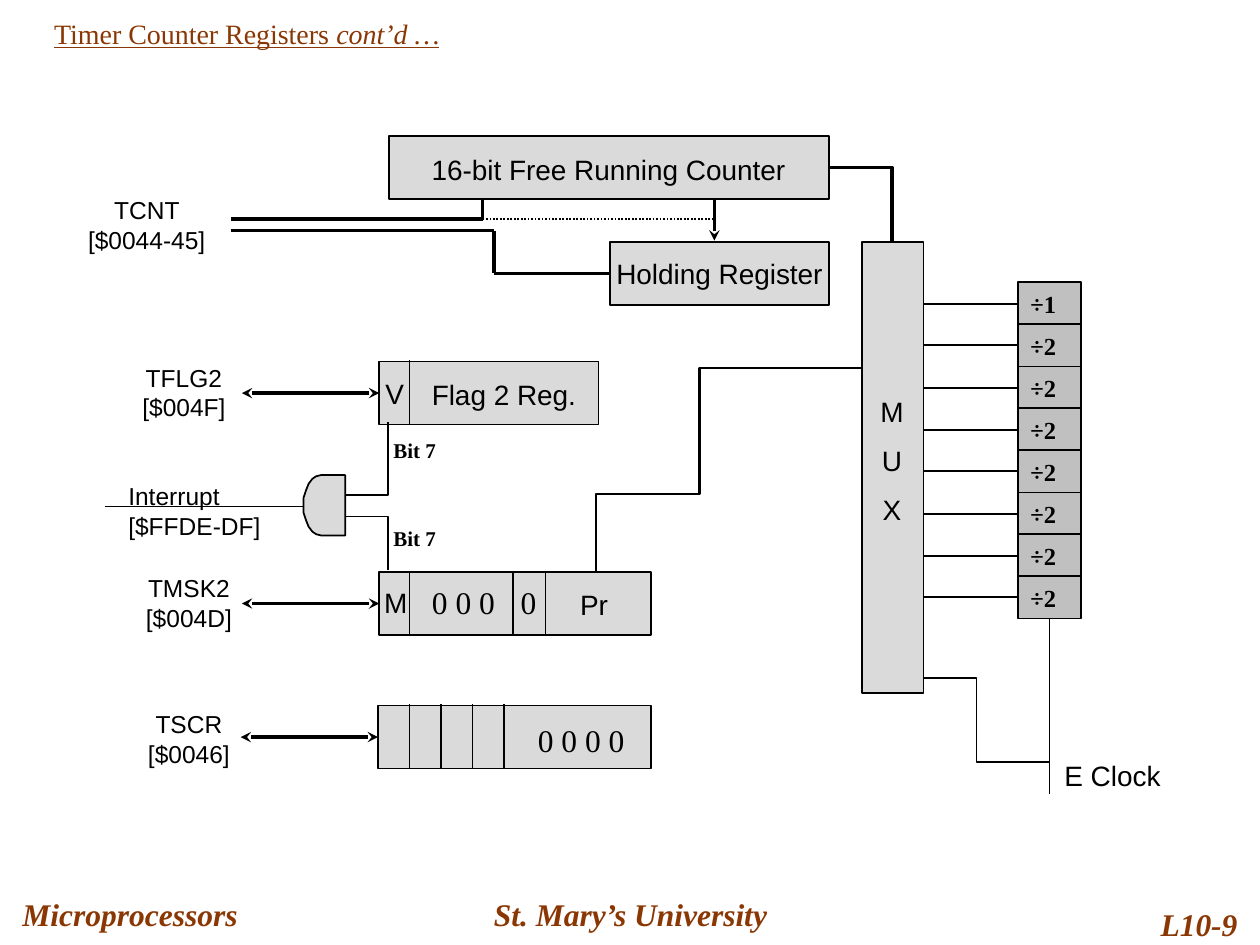
import math

import pptx
import pptx.dml.color
import pptx.enum.dml
import pptx.enum.shapes
import pptx.enum.text
import pptx.oxml.ns
import pptx.util
from lxml import etree

PX = 9144  # 100 px to the inch
BLACK, BROWN, LIGHT, GREY = "000000", "8A3704", "DADADA", "C0C0C0"
SERIF, SANS = "Times New Roman", "Arial"
ALIGN = pptx.enum.text.PP_ALIGN
ANCHOR = pptx.enum.text.MSO_ANCHOR


def px(*lengths):
    return [pptx.util.Emu(n * PX) for n in lengths]


def rgb(code):
    return pptx.dml.color.RGBColor.from_string(code)


def style_font(font, size, name, color=BLACK, bold=False, italic=False):
    font.size, font.name = pptx.util.Pt(size), name
    font.bold, font.italic = bold, italic
    font.color.rgb = rgb(color)


def write(sp, lines, size, name=SANS, align=ALIGN.CENTER, anchor=ANCHOR.TOP, wrap=True, **look):
    tf = sp.text_frame
    tf.word_wrap, tf.vertical_anchor = wrap, anchor
    tf.text = lines
    for i, p in enumerate(tf.paragraphs):
        p.alignment = align
        p.space_before = pptx.util.Pt(9 if i else 0)
        style_font(p.font, size, name, **look)


def label(slide, x, y, w, h, lines, size=16, name=SANS, **look):
    write(slide.shapes.add_textbox(*px(x, y, w, h)), lines, size, name, **look)


def paint(sp, fill=None, width=1.0):
    sp.shadow.inherit = False
    if fill:
        sp.fill.solid()
        sp.fill.fore_color.rgb = rgb(fill)
    else:
        sp.fill.background()
    sp.line.color.rgb = rgb(BLACK)
    sp.line.width = pptx.util.Pt(width)


def block(slide, x, y, w, h, fill=LIGHT):
    sp = slide.shapes.add_shape(pptx.enum.shapes.MSO_SHAPE.RECTANGLE, *px(x, y, w, h))
    paint(sp, fill)
    return sp


def line(slide, x1, y1, x2, y2, width=1.0, start=None, arrows=(), dotted=False):
    """Straight wire; start is the (shape, side) it leaves, arrows name the line ends."""
    c = slide.shapes.add_connector(pptx.enum.shapes.MSO_CONNECTOR.STRAIGHT, *px(x1, y1, x2, y2))
    if start:
        c.begin_connect(*start)
    c.line.color.rgb = rgb(BLACK)
    c.line.width = pptx.util.Pt(width)
    if dotted:
        c.line.dash_style = pptx.enum.dml.MSO_LINE.ROUND_DOT
    for end in arrows:
        etree.SubElement(c.line._get_or_add_ln(), pptx.oxml.ns.qn(f"a:{end}"), type="stealth")
    etree.SubElement(c._element.spPr, pptx.oxml.ns.qn("a:effectLst"))


def outline(slide, points, fill=None, width=1.0):
    """Bent wire, or a closed figure when a fill is given."""
    fb = slide.shapes.build_freeform(*points[0], scale=PX)
    fb.add_line_segments(points[1:], close=fill is not None)
    paint(fb.convert_to_shape(), fill, width)


def title(slide, x, y, w, h):
    sp = slide.shapes.title
    sp.left, sp.top, sp.width, sp.height = px(x, y, w, h)
    tf = sp.text_frame
    tf.word_wrap, tf.vertical_anchor = True, ANCHOR.TOP
    tf.auto_size = pptx.enum.text.MSO_AUTO_SIZE.NONE
    p = tf.paragraphs[0]
    p.alignment = ALIGN.LEFT
    for text, italic in (("Timer Counter Registers ", False), ("cont’d …", True)):
        r = p.add_run()
        r.text = text
        style_font(r.font, 16, SERIF, BROWN, italic=italic)
        r.font.underline = True


def footer(slide, x, y):
    parts = ((0, 0, 242, "Microprocessors", ALIGN.LEFT),
             (334, 0, 317, "St. Mary’s University", ALIGN.CENTER),
             (859, 8, 125, "L10-9", ALIGN.RIGHT))
    for dx, dy, w, text, align in parts:
        label(slide, x + dx, y + dy, w, 50, text, 18, SERIF, align=align,
              anchor=ANCHOR.MIDDLE, color=BROWN, bold=True, italic=True)


def counter(slide, x, y):
    """Free running counter, its holding register and the TCNT bus."""
    block(slide, x, y, 349, 50)
    label(slide, x - 1, y + 8, 350, 37, "16-bit Free Running Counter")
    holding = block(slide, x + 175, y + 84, 174, 50)
    label(slide, x + 166, y + 91, 192, 37, "Holding Register")
    label(slide, x - 251, y + 42, 117, 57, "TCNT [$0044-45]", 14)
    bus, tap, bend = x - 126, x + 74, x + 83
    line(slide, tap, y + 50, tap, y + 66, 2)
    line(slide, tap, y + 66, bus, y + 66, 2)
    line(slide, tap, y + 66, x + 258, y + 66, dotted=True)
    line(slide, x + 258, y + 50, x + 258, y + 83, 2, arrows=["tailEnd"])
    line(slide, x + 175, y + 109, bend, y + 109, 2, start=(holding, 1))
    line(slide, bend, y + 109, bend, y + 75, 2.25)
    line(slide, bend, y + 75, bus, y + 75, 2)
    outline(slide, [(x + 349, y + 25), (x + 399, y + 25), (x + 399, y + 84)], width=2)


def register(slide, x, y, w, name, name_box, cuts, fields):
    """Register with bit dividers at cuts, field texts, and a two-way arrow to its name."""
    sp = block(slide, x, y, w, 50)
    line(slide, x, y + 25, x - 109, y + 25, 2, start=(sp, 1), arrows=["headEnd", "tailEnd"])
    dx, dy, name_w = name_box
    label(slide, x + dx, y + dy, name_w, 57, name, 14)
    for cut in cuts:
        line(slide, x + cut, y - 1, x + cut, y + 50)
    for dx, dy, field_w, text, size, font, align in fields:
        label(slide, x + dx, y + dy, field_w, 38, text, size, font, align=align)


def interrupt_gate(slide, x, y):
    """AND gate fed by bit 7 of the registers above and below."""
    cx, cy, rx, ry = x + 14, y + 24, 14, 24
    arc = [(cx - rx * math.sin(math.pi * i / 12), cy + ry * math.cos(math.pi * i / 12))
           for i in range(13)]
    outline(slide, [(x + 33, y), (x + 33, y + 48)] + arc, LIGHT)
    for far, near, text_y in ((-42, 16, -35), (75, 33, 35)):
        outline(slide, [(x + 67, y + far), (x + 67, y + near), (x + 34, y + near)])
        label(slide, x + 59, y + text_y, 58, 30, "Bit 7", 12, SERIF, bold=True)
    line(slide, x, y + 25, x - 158, y + 25)
    label(slide, x - 149, y, 133, 57, "Interrupt [$FFDE-DF]", 14, align=ALIGN.LEFT)


def prescaler(slide, x, y):
    """Multiplexer choosing among the stages of the clock divider chain."""
    block(slide, x, y, 49, 358)
    label(slide, x - 1, y + 116, 50, 117, "M\nU\nX")
    stages = 8
    for i in range(stages):
        top = y + 32 + round(i * 100 / 3)
        stage = block(slide, x + 124, top, 50, 34, GREY)
        write(stage, "÷2" if i else "÷1", 14, SERIF, align=ALIGN.LEFT,
              anchor=ANCHOR.MIDDLE, bold=True)
        line(slide, x + 124, top + 17, x + 49, top + 17, start=(stage, 1))
    line(slide, x + 149, y + 299, x + 149, y + 438, start=(stage, 2))
    outline(slide, [(x + 149, y + 413), (x + 91, y + 413), (x + 91, y + 346), (x + 49, y + 346)])
    label(slide, x + 149, y + 405, 100, 37, "E Clock")


def main():
    prs = pptx.Presentation()
    prs.slide_width, prs.slide_height = px(1000, 750)
    slide = prs.slides.add_slide(prs.slide_layouts[5])
    title(slide, 33, 8, 892, 37)
    footer(slide, 8, 700)
    counter(slide, 309, 108)
    center, left = ALIGN.CENTER, ALIGN.LEFT
    register(slide, 301, 287, 174, "TFLG2 [$004F]", (-201, -4, 92), [24],
             [(-5, 7, 33, "V", 16, SANS, center),
              (24, 8, 150, "Flag 2 Reg.", 16, SANS, center)])
    register(slide, 301, 454, 216, "TMSK2 [$004D]", (-201, -4, 100), [24, 106, 132],
             [(-6, 6, 33, "M", 16, SANS, center),
              (32, 4, 75, "0 0 0", 18, SERIF, left),
              (102, 4, 33, "0", 18, SERIF, center),
              (137, 7, 67, "Pr", 16, SANS, center)])
    register(slide, 300, 560, 217, "TSCR [$0046]", (-200, -2, 100), range(25, 101, 25),
             [(117, 7, 92, "0 0 0 0", 18, SERIF, left)])
    interrupt_gate(slide, 241, 377)
    prescaler(slide, 684, 192)
    outline(slide, [(473, 453), (473, 392), (555, 392), (555, 292), (683, 292)], width=1.5)
    prs.save("out.pptx")


if __name__ == "__main__":
    main()
